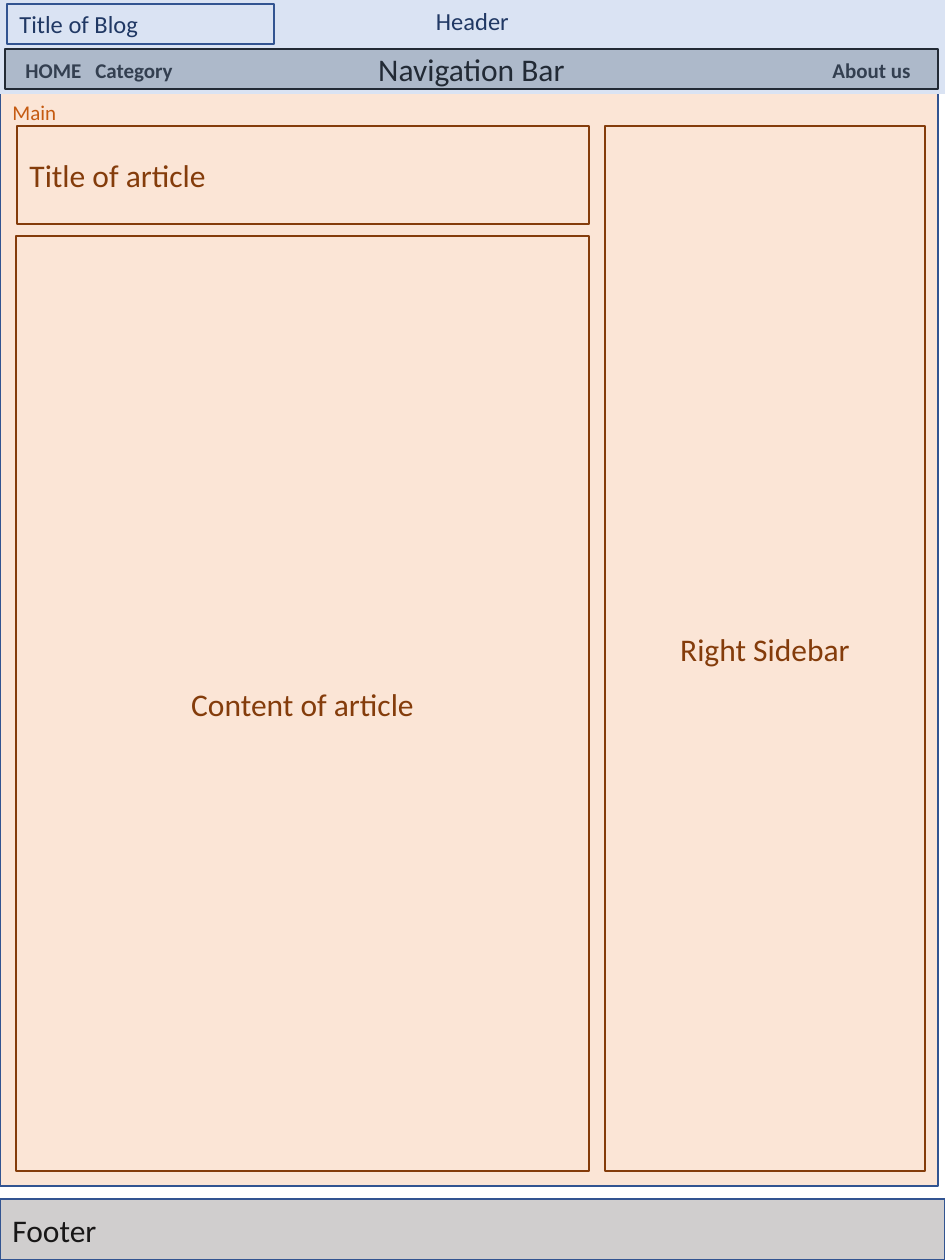
from dataclasses import dataclass
from typing import Optional

from pptx import Presentation
from pptx.dml.color import RGBColor
from pptx.enum.shapes import MSO_SHAPE as Shape
from pptx.enum.text import MSO_ANCHOR as Anchor, MSO_AUTO_SIZE as AutoSize, PP_ALIGN as Align
from pptx.util import Emu, Pt

PIXEL = 914400 / 126
FONT = "Calibri"
BLUE, NAVY, PALE_BLUE = "325491", "203864", "DAE3F3"
BROWN, SLATE = "843C0B", "222A35"


@dataclass(frozen=True)
class Region:
    text: str
    left: int
    top: int
    width: int
    height: int
    size: int
    color: str
    line: str
    fill: Optional[str] = None
    align: Align = Align.LEFT
    anchor: Anchor = Anchor.MIDDLE


@dataclass(frozen=True)
class MenuItem:
    text: str
    left: int
    width: int


REGIONS = [
    Region("Main", 0, 93, 938, 1093, 12, "C55A11", BLUE, "FBE5D6", anchor=Anchor.TOP),
    Region("Header", 0, 0, 945, 93, 14, NAVY, PALE_BLUE, PALE_BLUE, Align.CENTER, Anchor.TOP),
    Region("Footer", 0, 1199, 945, 61, 18, "181717", BLUE, "D0CECE"),
    Region("Title of article", 17, 126, 572, 98, 18, BROWN, BROWN),
    Region("Content of article", 16, 236, 573, 935, 18, BROWN, BROWN, align=Align.CENTER),
    Region("Title of Blog", 7, 4, 267, 40, 14, NAVY, BLUE),
    Region("Navigation Bar", 5, 49, 933, 40, 18, SLATE, SLATE, "ADB9CA", Align.CENTER),
    Region("Right Sidebar", 605, 126, 320, 1045, 18, BROWN, BROWN, align=Align.CENTER),
]
MENU = [MenuItem("HOME", 13, 82), MenuItem("Category", 83, 103), MenuItem("About us", 820, 105)]
MENU_TOP, MENU_HEIGHT = 51, 38


def px(value: int) -> Emu:
    return Emu(round(value * PIXEL))


def rgb(value: str) -> RGBColor:
    return RGBColor.from_string(value)


def write(frame, text: str, size: int, color: str, align: Align = Align.LEFT, bold: bool = False) -> None:
    para = frame.paragraphs[0]
    para.text = text
    para.alignment = align
    para.font.name = FONT
    para.font.size = Pt(size)
    para.font.bold = bold
    para.font.color.rgb = rgb(color)


def draw_region(page, region: Region) -> None:
    bounds = map(px, (region.left, region.top, region.width, region.height))
    box = page.shapes.add_shape(Shape.RECTANGLE, *bounds)
    box.shadow.inherit = False
    if region.fill:
        box.fill.solid()
        box.fill.fore_color.rgb = rgb(region.fill)
    else:
        box.fill.background()
    box.line.color.rgb = rgb(region.line)
    box.line.width = Pt(1)
    box.text_frame.word_wrap = True
    box.text_frame.vertical_anchor = region.anchor
    write(box.text_frame, region.text, region.size, region.color, region.align)


def draw_menu_item(page, item: MenuItem) -> None:
    box = page.shapes.add_textbox(*map(px, (item.left, MENU_TOP, item.width, MENU_HEIGHT)))
    box.text_frame.word_wrap = False
    box.text_frame.auto_size = AutoSize.SHAPE_TO_FIT_TEXT
    write(box.text_frame, item.text, 12, "333F50", bold=True)


deck = Presentation()
deck.slide_width, deck.slide_height = px(945), px(1260)
page = deck.slides.add_slide(deck.slide_layouts[6])
for region in REGIONS:
    draw_region(page, region)
for item in MENU:
    draw_menu_item(page, item)
deck.save("out.pptx")
